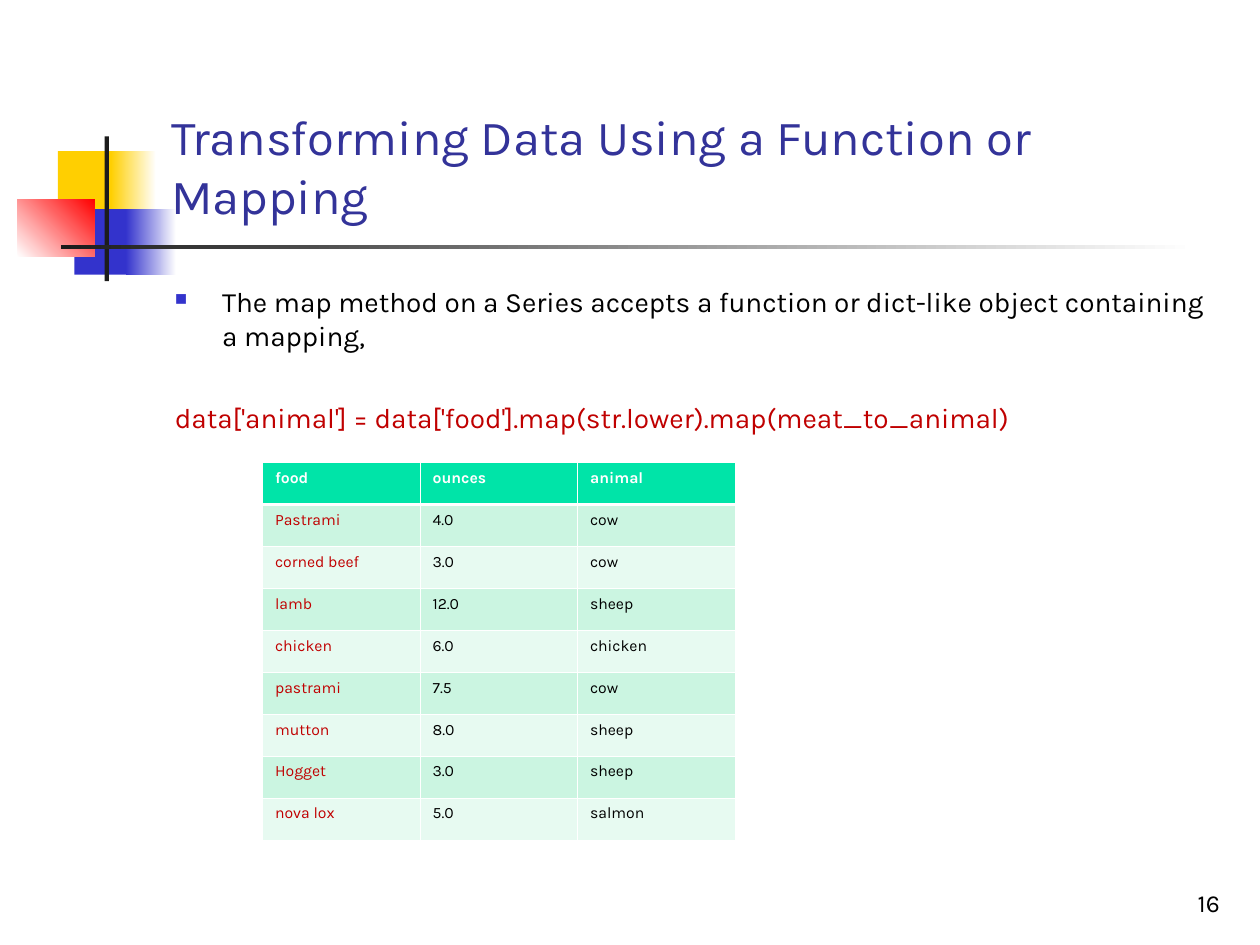
from lxml import etree
from pptx import Presentation
from pptx.dml.color import RGBColor
from pptx.enum.shapes import MSO_SHAPE
from pptx.enum.text import MSO_ANCHOR, PP_ALIGN
from pptx.oxml.ns import qn
from pptx.util import Pt

RECT = MSO_SHAPE.RECTANGLE
TOP, BOTTOM = MSO_ANCHOR.TOP, MSO_ANCHOR.BOTTOM
LEFT, RIGHT = PP_ALIGN.LEFT, PP_ALIGN.RIGHT

WHITE = RGBColor(0xFF, 0xFF, 0xFF)
BLACK = RGBColor(0x00, 0x00, 0x00)
DARK = RGBColor(0x1C, 0x1C, 0x1C)
YELLOW = RGBColor(0xFF, 0xCF, 0x01)
BLUE = RGBColor(0x33, 0x33, 0xCC)
NAVY = RGBColor(0x33, 0x33, 0x99)
RED = RGBColor(0xFF, 0x00, 0x00)
CRIMSON = RGBColor(0xC0, 0x00, 0x00)
GREEN = RGBColor(0x00, 0xE4, 0xA8)
MINT = RGBColor(0xCB, 0xF5, 0xE1)
PALE = RGBColor(0xE7, 0xFA, 0xF1)

# Left, top, width, height, colours from first to last stop, angle
DECOR = [
    (33.12, 86.4, 34.56, 37.44, [YELLOW], 0),
    (63.36, 86.4, 25.92, 37.44, [YELLOW, WHITE], 0),
    (42.48, 119.52, 33.12, 37.44, [BLUE], 0),
    (72, 119.52, 28.8, 37.44, [BLUE, WHITE], 0),
    (10.08, 113.76, 43.92, 33.12, [WHITE, RED], 45),
    (59.76, 77.9, 2.5, 82.8, [DARK], 0),
    (34.8, 140.1, 648, 2.5, [DARK, WHITE], 0),
]

FOODS = [
    ("food", "ounces", "animal"),
    ("Pastrami", "4.0", "cow"),
    ("corned beef", "3.0", "cow"),
    ("lamb", "12.0", "sheep"),
    ("chicken", "6.0", "chicken"),
    ("pastrami", "7.5", "cow"),
    ("mutton", "8.0", "sheep"),
    ("Hogget", "3.0", "sheep"),
    ("nova lox", "5.0", "salmon"),
]


def apply(item, values):
    for name, value in values.items():
        setattr(item, name, value)


class Deck:
    font = "Karla"
    thin, thick = 0.45, 1.47

    def __init__(self, wide, high):
        self.show = Presentation()
        apply(self.show, {"slide_width": Pt(wide), "slide_height": Pt(high)})
        self.slide = self.show.slides.add_slide(self.show.slide_layouts[6])

    def block(self, x, y, w, h, tones, angle):
        """Draw a borderless rectangle, solid or with a two-stop gradient."""
        shape = self.slide.shapes.add_shape(RECT, Pt(x), Pt(y), Pt(w), Pt(h))
        shape.shadow.inherit = False
        shape.line.fill.background()
        if len(tones) == 1:
            shape.fill.solid()
            shape.fill.fore_color.rgb = tones[0]
            return
        shape.fill.gradient()
        shape.fill.gradient_angle = angle
        for stop, tone in zip(shape.fill.gradient_stops, tones):
            stop.color.rgb = tone

    def box(self, x, y, w, h, anchor=TOP):
        frame = self.slide.shapes.add_textbox(
            Pt(x), Pt(y), Pt(w), Pt(h)).text_frame
        apply(frame, {"word_wrap": True, "vertical_anchor": anchor})
        return frame

    def label(self, par, text, size, tone, bold=False, align=LEFT, before=0):
        apply(par, {"alignment": align, "space_before": Pt(before)})
        run = par.add_run()
        run.text = text
        apply(run.font, {"name": self.font, "size": Pt(size), "bold": bold})
        run.font.color.rgb = tone

    def hang(self, par, indent, mark=None):
        """Set a hanging indent, with a square bullet if a mark is given."""
        props = par._p.get_or_add_pPr()
        props.set("marL", str(Pt(indent)))
        props.set("indent", str(-Pt(indent)))
        if mark is None:
            etree.SubElement(props, qn("a:buNone"))
            return
        tint = etree.SubElement(props, qn("a:buClr"))
        etree.SubElement(tint, qn("a:srgbClr"), val=str(mark))
        etree.SubElement(props, qn("a:buSzPct"), val="60000")
        etree.SubElement(props, qn("a:buChar"), char="■")

    def edge(self, cell, side, width):
        props = cell._tc.get_or_add_tcPr()
        line = etree.SubElement(props, qn(f"a:ln{side}"), w=str(Pt(width)))
        fill = etree.SubElement(line, qn("a:solidFill"))
        etree.SubElement(fill, qn("a:srgbClr"), val=str(WHITE))

    def table(self, x, y, wide, high, rows):
        count, span = len(rows), len(rows[0])
        grid = self.slide.shapes.add_table(
            count, span, Pt(x), Pt(y), Pt(wide * span), Pt(high * count)).table
        for r, row in enumerate(rows):
            grid.rows[r].height = Pt(high)
            head = r == 0
            shade = GREEN if head else (PALE, MINT)[r % 2]
            for c, text in enumerate(row):
                cell = grid.cell(r, c)
                tone = WHITE if head else BLACK if c else CRIMSON
                self.label(cell.text_frame.paragraphs[0], text, 9, tone, head)
                for side in "LRTB":
                    heavy = (r, side) in ((0, "B"), (1, "T"))
                    self.edge(cell, side, self.thick if heavy else self.thin)
                cell.fill.solid()
                cell.fill.fore_color.rgb = shade


def main():
    deck = Deck(720, 540)
    for part in DECOR:
        deck.block(*part)

    title = deck.box(90.72, 16.56, 613.44, 115.2, BOTTOM)
    deck.label(title.paragraphs[0],
               "Transforming Data Using a Function or Mapping", 28, NAVY)

    body = deck.box(92.88, 159.12, 612, 351.36)
    point = body.paragraphs[0]
    deck.label(point, "The map method on a Series accepts a function or "
               "dict-like object containing a mapping,", 16, BLACK, before=4)
    deck.hang(point, 27, BLUE)
    code = body.add_paragraph()
    deck.label(code, "data['animal'] = data['food'].map(str.lower)"
               ".map(meat_to_animal)", 16, CRIMSON, before=28)
    deck.hang(code, 27)

    page = deck.box(554.4, 491.76, 149.76, 36, BOTTOM)
    deck.label(page.paragraphs[0], "16", 14, BLACK, align=RIGHT)

    deck.table(150, 264.24, 90, 24, FOODS)
    deck.show.save("out.pptx")


if __name__ == "__main__":
    main()
